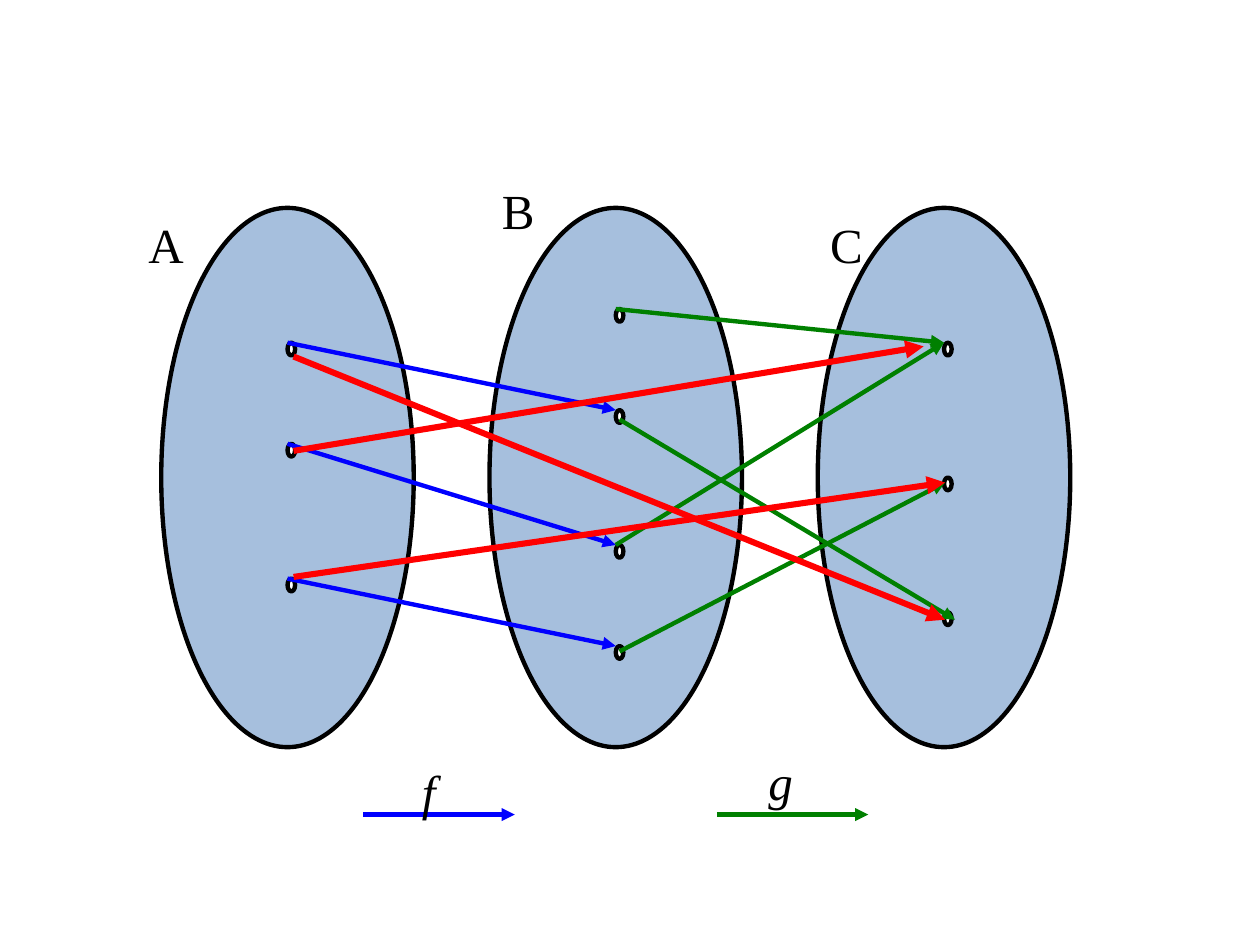
"""Draw the composition of two functions f and g between the sets A, B and C."""
import pptx
import pptx.dml.color
import pptx.enum.shapes
import pptx.enum.text
import pptx.oxml
import pptx.oxml.ns
import pptx.util

COLORS = {"set": "4F81BD", "ink": "000000", "dot": "FFFFFF",
          "f": "0000FF", "g": "008000", "composite": "FF0000"}
SET_COLUMNS = {"A": 0, "B": 13, "C": 26}
DOT_ROWS = {"A": (4, 7, 11), "B": (3, 6, 10, 13), "C": (4, 8, 12)}
DOT_OFFSET = 5


class MappingSlide:
    """Hold the style, the grid and the current slide."""

    column, row = 0.2004, 0.2675
    left, top = 1.28, 1.65
    font = {"name": "Times New Roman", "size": pptx.util.Pt(28)}

    def __init__(self, presentation):
        """Add a blank slide."""
        self.slide = presentation.slides.add_slide(presentation.slide_layouts[6])

    def point(self, column, row):
        """Turn a grid position into slide lengths."""
        return (pptx.util.Inches(self.left + column * self.column),
                pptx.util.Inches(self.top + row * self.row))

    def size(self, columns, rows):
        """Turn a grid span into slide lengths."""
        return pptx.util.Inches(columns * self.column), pptx.util.Inches(rows * self.row)

    def color(self, key):
        """Look up a colour."""
        return pptx.dml.color.RGBColor.from_string(COLORS[key])

    def oval(self, position, span, fill, alpha=None):
        """Draw an outlined ellipse, transparent if alpha is given."""
        oval = self.slide.shapes.add_shape(
            pptx.enum.shapes.MSO_SHAPE.OVAL, *self.point(*position), *self.size(*span))
        oval.shadow.inherit = False
        oval.fill.solid()
        oval.fill.fore_color.rgb = self.color(fill)
        oval.line.color.rgb = self.color("ink")
        oval.line.width = pptx.util.Pt(2.5)
        if alpha is not None:
            tint = oval.fill._xPr.find(".//" + pptx.oxml.ns.qn("a:srgbClr"))
            tint.append(self.element("alpha", f'val="{alpha * 1000}"'))

    def element(self, tag, attributes=""):
        """Make an empty DrawingML element."""
        return pptx.oxml.parse_xml(f'<a:{tag} {pptx.oxml.ns.nsdecls("a")} {attributes}/>')

    def arrow(self, start, end, color, width=2.5):
        """Draw a straight arrow between two grid positions."""
        arrow = self.slide.shapes.add_connector(
            pptx.enum.shapes.MSO_CONNECTOR.STRAIGHT, *self.point(*start), *self.point(*end))
        arrow.line.color.rgb = self.color(color)
        arrow.line.width = pptx.util.Pt(width)
        arrow.line._get_or_add_ln().append(self.element("tailEnd", 'type="triangle"'))
        arrow._element.spPr.append(self.element("effectLst"))

    def label(self, text, position, columns, italic=False):
        """Write a letter at a grid position."""
        frame = self.slide.shapes.add_textbox(
            *self.point(*position), *self.size(columns, 3)).text_frame
        frame.word_wrap = True
        paragraph = frame.paragraphs[0]
        paragraph.alignment = pptx.enum.text.PP_ALIGN.JUSTIFY
        run = paragraph.add_run()
        run.text = text
        for attribute, value in {**self.font, "italic": italic}.items():
            setattr(run.font, attribute, value)
        run.font.color.rgb = self.color("ink")


def main():
    """Build and save the slide."""
    presentation = pptx.Presentation()
    presentation.slide_width = pptx.util.Inches(10)
    presentation.slide_height = pptx.util.Inches(7.5)
    mapping = MappingSlide(presentation)

    for column in SET_COLUMNS.values():
        mapping.oval((column, 0), (10, 16), "set", alpha=50)
    for function, column in (("f", 8), ("g", 22)):
        mapping.arrow((column, 18), (column + 6, 18), function)

    dots = {name: [(SET_COLUMNS[name] + DOT_OFFSET, row) for row in rows]
            for name, rows in DOT_ROWS.items()}
    for positions in dots.values():
        for position in positions:
            mapping.oval(position, (0.3, 0.38), "dot")

    for start, end in zip(dots["A"], dots["B"][1:]):
        mapping.arrow(start, end, "f")
    for index in (0, 2):
        mapping.arrow(dots["B"][index], dots["C"][0], "g")

    for text, position, columns, italic in (
            ("f", (9.83, 16.25), 3, True), ("g", (23.55, 15.95), 3, True),
            ("A", (-1, 0), 3, False), ("B", (13, -1), 4, False), ("C", (26, 0), 4, False)):
        mapping.label(text, position, columns, italic)

    for start, end in (((18.15, 6.28), (31.44, 12.22)), ((18.15, 13.16), (31.04, 8.15))):
        mapping.arrow(start, end, "g")
    for start_row, end in ((4.41, (31.04, 12.22)), (7.21, (30.19, 4.11)), (10.95, (31.04, 8.15))):
        mapping.arrow((5.24, start_row), end, "composite", width=3.5)

    presentation.save("out.pptx")


if __name__ == "__main__":
    main()
